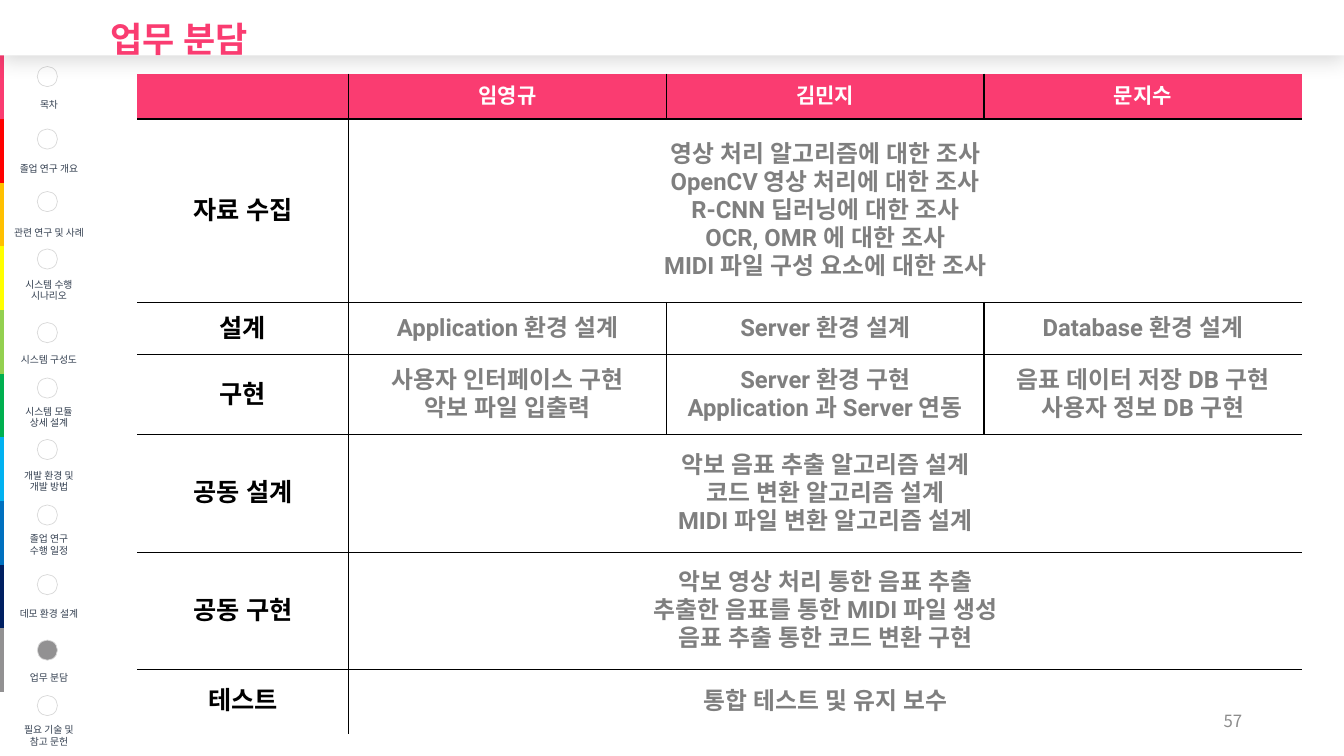
from lxml import etree
from pptx import Presentation
from pptx.dml.color import RGBColor
from pptx.enum.shapes import MSO_SHAPE
from pptx.enum.text import MSO_ANCHOR, MSO_AUTO_SIZE, PP_ALIGN
from pptx.oxml import parse_xml
from pptx.oxml.ns import nsdecls, qn
from pptx.util import Inches, Pt

CENTER, LEFT, RIGHT = PP_ALIGN.CENTER, PP_ALIGN.LEFT, PP_ALIGN.RIGHT
MIDDLE, BOTTOM = MSO_ANCHOR.MIDDLE, MSO_ANCHOR.BOTTOM
OVAL, NO_AUTOFIT = MSO_SHAPE.OVAL, MSO_AUTO_SIZE.NONE
MAIN_FONT, PAGE_FONT = "Roboto", "Noto Sans CJK KR"
PLAIN_TABLE = "{2D5ABB26-0587-4C30-8999-92F81FD0307C}"

COLORS = {
    "accent": "FA3C71", "white": "FFFFFF", "black": "000000", "duty": "7F7F7F",
    "nav": "333F50", "page": "8C8C8C", "ring": "D9D9D9", "current": "929192",
}

# Content
TITLE = "업무 분담"
PAGE = "57"
MEMBERS = ["임영규", "김민지", "문지수"]
# (phase, row height, duties); a single duty is shared by all members
PHASES = [
    ("자료 수집", 1.82, ["영상 처리 알고리즘에 대한 조사\nOpenCV 영상 처리에 대한 조사\n"
                     "R-CNN 딥러닝에 대한 조사\nOCR, OMR 에 대한 조사\n"
                     "MIDI 파일 구성 요소에 대한 조사"]),
    ("설계", 0.52, ["Application 환경 설계", "Server 환경 설계", "Database 환경 설계"]),
    ("구현", 0.79, ["사용자 인터페이스 구현\n악보 파일 입출력",
                  "Server 환경 구현\nApplication 과 Server 연동",
                  "음표 데이터 저장 DB 구현\n사용자 정보 DB 구현"]),
    ("공동 설계", 1.17, ["악보 음표 추출 알고리즘 설계\n코드 변환 알고리즘 설계\n"
                     "MIDI 파일 변환 알고리즘 설계"]),
    ("공동 구현", 1.16, ["악보 영상 처리 통한 음표 추출\n추출한 음표를 통한 MIDI 파일 생성\n"
                     "음표 추출 통한 코드 변환 구현"]),
    ("테스트", 0.64, ["통합 테스트 및 유지 보수"]),
]
# (label, stripe colour, top of the circle)
SECTIONS = [
    ("목차", "FA3C71", 0.66),
    ("졸업 연구 개요", "FF0000", 1.28),
    ("관련 연구 및 사례", "FFC000", 1.9),
    ("시스템 수행\n시나리오", "FFFF00", 2.47),
    ("시스템 구성도", "93D050", 3.2),
    ("시스템 모듈\n상세 설계", "00B050", 3.75),
    ("개발 환경 및\n개발 방법", "02B2F1", 4.36),
    ("졸업 연구\n수행 일정", "0070BF", 5.01),
    ("데모 환경 설계", "001F61", 5.7),
    ("업무 분담", "929192", 6.35),
    ("필요 기술 및\n참고 문헌", "FFFFFF", 6.9),
]
HEADER_HEIGHT = 0.45
LABEL_WIDTH, MEMBER_WIDTH = 2.1, 3.15
BAR_HEIGHT, STRIPE_WIDTH, NAV_LABEL_WIDTH = 0.55, 0.05, 0.89
CIRCLE_LEFT, CIRCLE_SIZE = 0.37, 0.2


def rgb(name):
    return RGBColor.from_string(COLORS.get(name, name))


def paint(part, color):
    part.fill.solid()
    part.fill.fore_color.rgb = rgb(color)


def write(frame, text, size, color, bold=False, align=CENTER, font=MAIN_FONT):
    frame.text = text
    for paragraph in frame.paragraphs:
        paragraph.alignment = align
        for run in paragraph.runs:
            run.font.size, run.font.bold, run.font.name = Pt(size), bold, font
            run.font.color.rgb = rgb(color)
            etree.SubElement(run.font._element, qn("a:ea"), typeface=font)


def add_plain_table(rows, left, top, widths, heights):
    frame = slide.shapes.add_table(rows, len(widths), Inches(left), Inches(top),
                                   Inches(sum(widths)), Inches(sum(heights)))
    table = frame.table
    table.first_row = table.horz_banding = False
    table._tbl.tblPr.find(qn("a:tableStyleId")).text = PLAIN_TABLE
    for column, width in zip(table.columns, widths):
        column.width = Inches(width)
    for row, height in zip(table.rows, heights):
        row.height = Inches(height)
    return table


def rule_cell(cell, sides):
    """Draw black 1 pt borders; they must come before the cell's fill."""
    for index, side in enumerate(sides):
        cell._tc.get_or_add_tcPr().insert(index, parse_xml(
            f'<a:ln{side} {nsdecls("a")} w="12700"><a:solidFill>'
            f'<a:srgbClr val="{COLORS["black"]}"/></a:solidFill></a:ln{side}>'))


prs = Presentation()
prs.slide_width, prs.slide_height = Inches(13.33), Inches(7.5)
slide = prs.slides.add_slide(prs.slide_layouts[5])

# Page number
page_box = slide.shapes.add_textbox(Inches(9.42), Inches(6.95), Inches(3), Inches(0.4))
page_box.text_frame.word_wrap = True
page_box.text_frame.vertical_anchor = MIDDLE
write(page_box.text_frame, PAGE, 12, "page", align=RIGHT, font=PAGE_FONT)

# Duty table
heights = [HEADER_HEIGHT] + [height for _, height, _ in PHASES]
duty_table = add_plain_table(len(heights), 1.36, 0.73,
                             [LABEL_WIDTH] + [MEMBER_WIDTH] * len(MEMBERS), heights)
for col, member in enumerate(MEMBERS, 1):
    write(duty_table.cell(0, col).text_frame, member, 15, "white", True)
for row, (phase, _, duties) in enumerate(PHASES, 1):
    write(duty_table.cell(row, 0).text_frame, phase, 18, "black", True)
    for col, duty in enumerate(duties, 1):
        write(duty_table.cell(row, col).text_frame, duty, 17, "duty", True)
    if len(duties) == 1:
        duty_table.cell(row, 1).merge(duty_table.cell(row, len(MEMBERS)))

# Inner rules and fills of the duty table
for row in range(len(heights)):
    shared = row > 0 and len(PHASES[row - 1][2]) == 1
    last_ruled = 1 if shared else len(MEMBERS)
    for col in range(len(MEMBERS) + 1):
        cell = duty_table.cell(row, col)
        cell.vertical_anchor = MIDDLE
        if row == 0:
            paint(cell, "accent")
        else:
            cell.fill.background()
        drawn = {"L": 0 < col <= last_ruled, "R": col < last_ruled,
                 "T": row > 0, "B": row < len(PHASES)}
        rule_cell(cell, [side for side, on in drawn.items() if on])

# Section navigation
nav_row = (7.5 - BAR_HEIGHT) / len(SECTIONS)
nav_table = add_plain_table(len(SECTIONS), -0.01, BAR_HEIGHT,
                            [STRIPE_WIDTH, NAV_LABEL_WIDTH], [nav_row] * len(SECTIONS))
for row, (label, stripe, circle_top) in enumerate(SECTIONS):
    stripe_cell, label_cell = nav_table.cell(row, 0), nav_table.cell(row, 1)
    for cell, color in ((stripe_cell, stripe), (label_cell, "white")):
        cell.margin_left = cell.margin_right = cell.margin_top = 0
        cell.margin_bottom = Inches(0.08)
        paint(cell, color)
    label_cell.vertical_anchor = BOTTOM
    write(label_cell.text_frame, label, 7, "nav")

    circle = slide.shapes.add_shape(OVAL, Inches(CIRCLE_LEFT), Inches(circle_top),
                                    Inches(CIRCLE_SIZE), Inches(CIRCLE_SIZE))
    circle.shadow.inherit = False
    paint(circle, "current" if label == TITLE else "white")
    circle.line.color.rgb = rgb("ring")
    circle.line.width = Pt(0.5)

# Title bar, in front with a soft shadow below
title = slide.shapes.title
title.left, title.top = 0, 0
title.width, title.height = prs.slide_width, Inches(BAR_HEIGHT)
paint(title, "white")
title_frame = title.text_frame
title_frame.auto_size, title_frame.vertical_anchor = NO_AUTOFIT, MIDDLE
title_frame.margin_left = Inches(1.1)
write(title_frame, TITLE, 25, "accent", True, LEFT)
title_frame.paragraphs[0].line_spacing = 1.5
title._element.spPr.append(parse_xml(
    f'<a:effectLst {nsdecls("a")}><a:outerShdw blurRad="190500" dist="38100" dir="5400000">'
    f'<a:srgbClr val="{COLORS["black"]}"><a:alpha val="15000"/></a:srgbClr>'
    '</a:outerShdw></a:effectLst>'))
slide.shapes._spTree.append(title._element)

prs.save("out.pptx")
